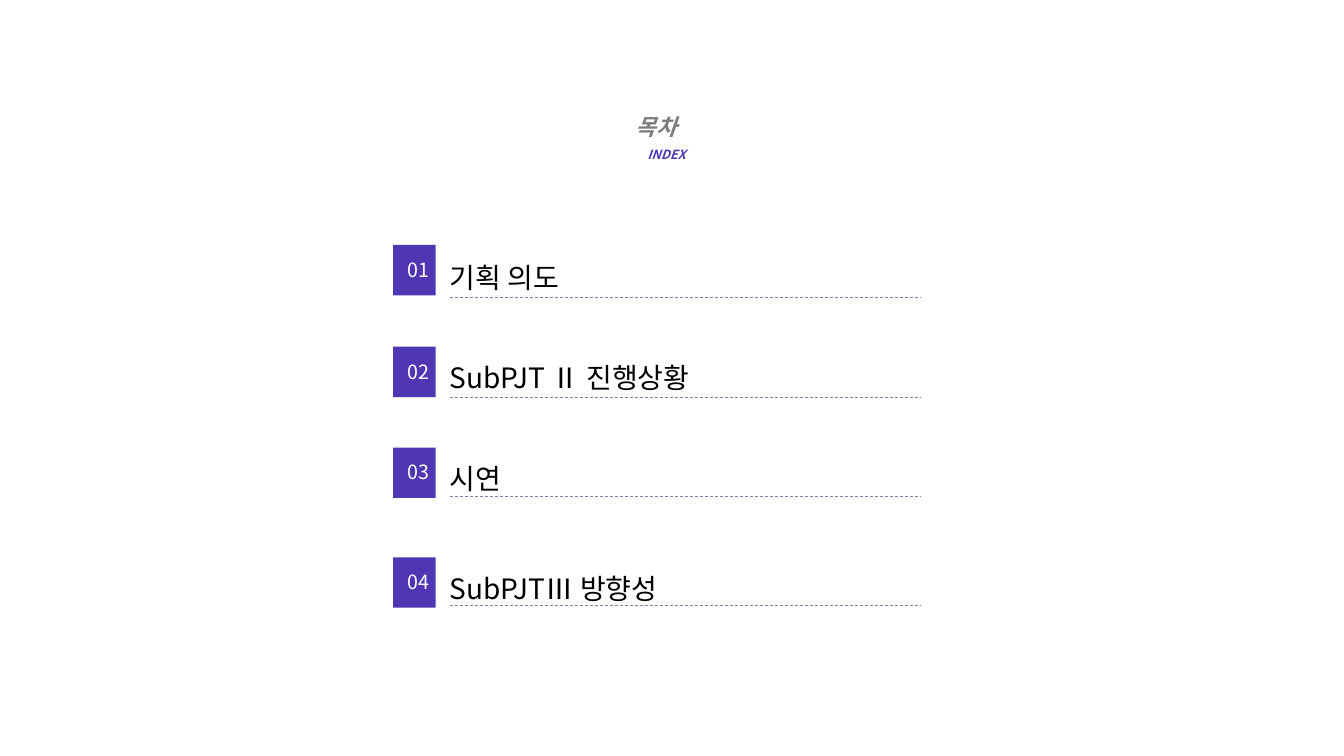
import pptx
import pptx.util
import pptx.dml.color
import pptx.enum.dml
import pptx.enum.shapes
import pptx.enum.text
import lxml.etree

FONT = "Noto Sans CJK KR"
COLORS = {"purple": "4F37B3", "gray": "7C7C7C", "rule": "817FAC",
          "white": "FFFFFF", "black": "000000"}
WIDTH, HEIGHT = 13.33, 7.5
ITEMS = [
    ("기획 의도", 2.43, 0.09, 0.52),
    ("SubPJT Ⅱ 진행상황", 3.44, 0.07, 0.5),
    ("시연", 4.44, 0.07, 0.48),
    ("SubPJTⅢ 방향성", 5.53, 0.07, 0.48),
]
HEADINGS = [
    ("목차", (6.21, 1.07, 0.8, 0.36), 16, "gray", "JUSTIFY"),
    ("INDEX", (5.92, 1.41, 1.38, 0.67), 9, "purple", "CENTER"),
]
BADGE_LEFT, BADGE_W, BADGE_H = 3.9, 0.42, 0.5
ENTRY_LEFT, ENTRY_W, ENTRY_H = 4.46, 4.67, 0.35
NS = "http://schemas.openxmlformats.org/drawingml/2006/main"

Inches = pptx.util.Inches
Pt = pptx.util.Pt


def rgb(name):
    return pptx.dml.color.RGBColor.from_string(COLORS[name])


def write(sp, text, size, color, align="LEFT", anchor="TOP",
          insets=(0.1, 0.05, 0.1, 0.05), spacing=1.0, strong=False):
    tf = sp.text_frame
    tf.word_wrap = True
    tf.vertical_anchor = getattr(pptx.enum.text.MSO_ANCHOR, anchor)
    tf.margin_left, tf.margin_top, tf.margin_right, tf.margin_bottom = map(Inches, insets)
    p = tf.paragraphs[0]
    p.alignment = getattr(pptx.enum.text.PP_ALIGN, align)
    p.line_spacing = spacing
    r = p.add_run()
    r.text = text
    r.font.name = FONT
    r.font.size = Pt(size)
    r.font.bold = r.font.italic = strong
    r.font.color.rgb = rgb(color)
    ea = lxml.etree.SubElement(r.font._element, f"{{{NS}}}ea")
    ea.set("typeface", FONT)


def add_badge(s, number, top):
    sp = s.shapes.add_shape(pptx.enum.shapes.MSO_SHAPE.RECTANGLE,
                            *map(Inches, (BADGE_LEFT, top, BADGE_W, BADGE_H)))
    sp.shadow.inherit = False
    sp.fill.solid()
    sp.fill.fore_color.rgb = rgb("purple")
    sp.line.fill.background()
    write(sp, f"{number:02d}", 14, "white", "RIGHT",
          insets=(0.06, 0.01, 0.06, 0.04), spacing=1.5)


def add_entry(s, text, top):
    sp = s.shapes.add_textbox(*map(Inches, (ENTRY_LEFT, top, ENTRY_W, ENTRY_H)))
    write(sp, text, 20, "black", anchor="MIDDLE", insets=(0, 0, 0, 0.05), spacing=1.5)


def add_rule(s, y):
    line = s.shapes.add_connector(pptx.enum.shapes.MSO_CONNECTOR.STRAIGHT,
                                  *map(Inches, (ENTRY_LEFT, y, ENTRY_LEFT + ENTRY_W, y)))
    line.line.color.rgb = rgb("rule")
    line.line.width = Pt(0.5)
    line.line.dash_style = pptx.enum.dml.MSO_LINE.DASH
    lxml.etree.SubElement(line._element.spPr, f"{{{NS}}}effectLst")


def main():
    prs = pptx.Presentation()
    prs.slide_width, prs.slide_height = Inches(WIDTH), Inches(HEIGHT)
    s = prs.slides.add_slide(prs.slide_layouts[6])
    for number, (text, top, text_drop, rule_drop) in enumerate(ITEMS, 1):
        add_badge(s, number, top)
        add_entry(s, text, top + text_drop)
        add_rule(s, top + rule_drop)
    for text, box, size, color, align in HEADINGS:
        sp = s.shapes.add_textbox(*map(Inches, box))
        write(sp, text, size, color, align, strong=True)
    prs.save("out.pptx")


if __name__ == "__main__":
    main()
